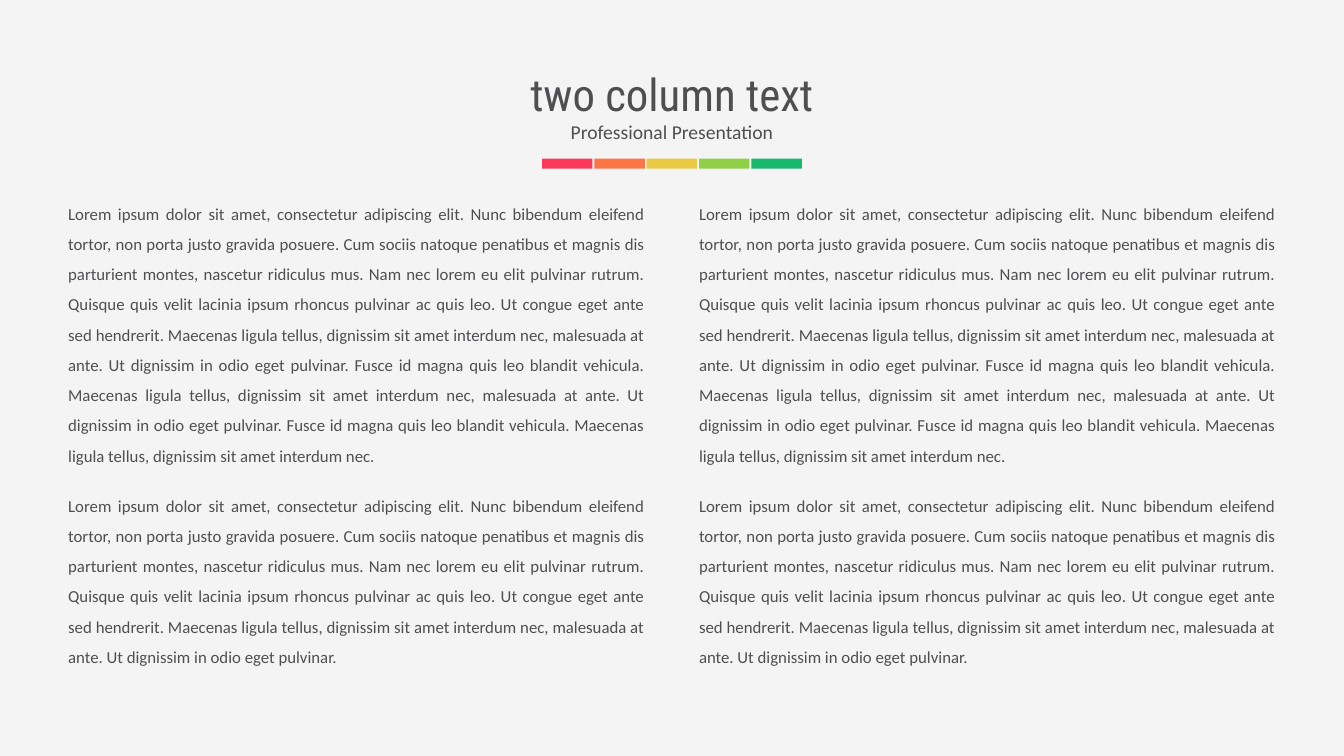
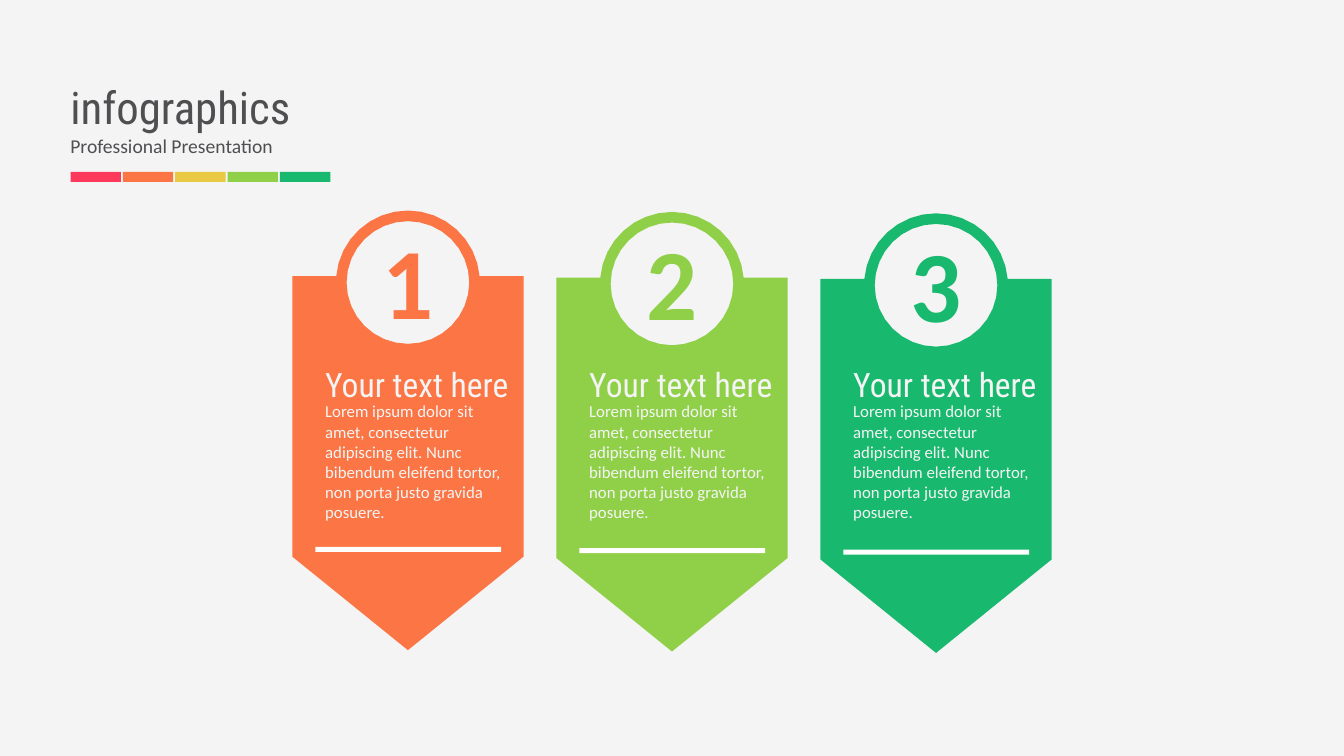
from math import cos, radians, sin

from pptx import Presentation
from pptx.dml.color import RGBColor
from pptx.enum.shapes import MSO_SHAPE
from pptx.enum.text import MSO_AUTO_SIZE, PP_ALIGN
from pptx.util import Pt

# Shared style
BACKGROUND = RGBColor(0xF4, 0xF4, 0xF4)
TEXT_GREY = RGBColor(0x4F, 0x4F, 0x52)
WHITE = RGBColor(0xFF, 0xFF, 0xFF)
RED = RGBColor(0xFC, 0x39, 0x5B)
ORANGE = RGBColor(0xFB, 0x75, 0x45)
YELLOW = RGBColor(0xE9, 0xC9, 0x44)
LIME = RGBColor(0x90, 0xD0, 0x49)
GREEN = RGBColor(0x18, 0xB9, 0x6E)
PALETTE = [RED, ORANGE, YELLOW, LIME, GREEN]
HEADING_FONT = "Roboto Condensed"
BODY_FONT = "Calibri"
SLIDE_WIDTH, SLIDE_HEIGHT = 960, 540

# Colour strip under each title
BAR_WIDTH, BAR_HEIGHT, BAR_PITCH = 36, 7.2, 37.4
STRIP_WIDTH = BAR_PITCH * (len(PALETTE) - 1) + BAR_WIDTH

# Banner geometry, measured from the centre of its ring
BANNER_PITCH = 188.6
BANNER_HALF_WIDTH = 82.6
HOLE_RADIUS, RING_RADIUS = 43.8, 51.4
RING_END_ANGLE = 85
SHOULDER_Y, RULE_Y, SIDE_END_Y, TIP_Y = -4.5, 188.8, 195.8, 262.6
NUMERAL_BOX_WIDTH, NUMERAL_BOX_HEIGHT = 2 * HOLE_RADIUS, 95.1
NUMERAL_LIFT = 1.8

# Wording
INTRO = (
    "Lorem ipsum dolor sit amet, consectetur adipiscing elit. Nunc bibendum "
    "eleifend tortor, non porta justo gravida posuere."
)
MAECENAS = "Maecenas ligula tellus, dignissim sit amet interdum nec"
FUSCE = "Fusce id magna quis leo blandit vehicula."
CLAUSE = f"{MAECENAS}, malesuada at ante. Ut dignissim in odio eget pulvinar."
SHORT_TEXT = (
    f"{INTRO} Cum sociis natoque penatibus et magnis dis parturient montes, "
    "nascetur ridiculus mus. Nam nec lorem eu elit pulvinar rutrum. Quisque quis "
    "velit lacinia ipsum rhoncus pulvinar ac quis leo. Ut congue eget ante sed "
    f"hendrerit. {CLAUSE}"
)
LONG_TEXT = f"{SHORT_TEXT} {FUSCE} {CLAUSE} {FUSCE} {MAECENAS}."


def add_text(slide, text, left, top, width, height, size, color=TEXT_GREY,
             font=BODY_FONT, align=PP_ALIGN.LEFT, line_spacing=None, bold=False):
    box = slide.shapes.add_textbox(Pt(left), Pt(top), Pt(width), Pt(height))
    box.text_frame.word_wrap = True
    box.text_frame.auto_size = MSO_AUTO_SIZE.SHAPE_TO_FIT_TEXT
    box.text_frame.text = text
    paragraph = box.text_frame.paragraphs[0]
    paragraph.alignment = align
    paragraph.line_spacing = line_spacing
    run = paragraph.runs[0]
    run.font.name = font
    run.font.size = Pt(size)
    run.font.bold = bold
    run.font.color.rgb = color


def paint(shape, color):
    shape.shadow.inherit = False
    shape.fill.solid()
    shape.fill.fore_color.rgb = color
    shape.line.fill.background()


presentation = Presentation()
presentation.slide_width = Pt(SLIDE_WIDTH)
presentation.slide_height = Pt(SLIDE_HEIGHT)

# Both slides: background, title, subtitle and colour strip
headers = [
    ("two column text", 0, 43.8, SLIDE_WIDTH, PP_ALIGN.CENTER,
     (SLIDE_WIDTH - STRIP_WIDTH) / 2),
    ("infographics", 43.2, 53.3, 462, PP_ALIGN.LEFT, 50.4),
]
slides = []
for title, left, top, width, align, strip_left in headers:
    slide = presentation.slides.add_slide(presentation.slide_layouts[6])
    slide.background.fill.solid()
    slide.background.fill.fore_color.rgb = BACKGROUND
    add_text(slide, title, left, top, width, 46, 32, font=HEADING_FONT, align=align)
    add_text(slide, "Professional Presentation", left, top + 38.6, width, 24.2, 14,
             align=align)
    for index, color in enumerate(PALETTE):
        bar = slide.shapes.add_shape(
            MSO_SHAPE.RECTANGLE, Pt(strip_left + index * BAR_PITCH), Pt(top + 69.5),
            Pt(BAR_WIDTH), Pt(BAR_HEIGHT))
        paint(bar, color)
    slides.append(slide)
column_slide, banner_slide = slides

# Slide 1: two columns of two paragraphs
for text, top, height in [(LONG_TEXT, 134.6, 204), (SHORT_TEXT, 343.2, 138)]:
    for left in (41.6, 492.2):
        add_text(column_slide, text, left, top, 426.2, height, 12,
                 align=PP_ALIGN.JUSTIFY, line_spacing=1.5)

# Slide 2: banner outline with a round hole; angles run clockwise from the top
hole_angles = [radians(step * 360 / 32) for step in range(32)]
arch_angles = [radians(step * RING_END_ANGLE / 8) for step in range(-8, 9)]
hole = [(HOLE_RADIUS * sin(angle), -HOLE_RADIUS * cos(angle)) for angle in hole_angles]
arch = [(RING_RADIUS * sin(angle), -RING_RADIUS * cos(angle)) for angle in arch_angles]
body = arch + [
    (BANNER_HALF_WIDTH, SHOULDER_Y),
    (BANNER_HALF_WIDTH, SIDE_END_Y),
    (0, TIP_Y),
    (-BANNER_HALF_WIDTH, SIDE_END_Y),
    (-BANNER_HALF_WIDTH, SHOULDER_Y),
]

# Slide 2: three numbered banners, each one point lower than the last
for index, color in enumerate([ORANGE, LIME, GREEN]):
    center_x = SLIDE_WIDTH / 2 + (index - 1) * BANNER_PITCH
    center_y = 201.8 + index
    text_left = center_x - 66.2

    # Banner
    builder = banner_slide.shapes.build_freeform()
    for contour in (hole, body):
        points = [(Pt(center_x + x), Pt(center_y + y)) for x, y in contour]
        builder.move_to(*points[0])
        builder.add_line_segments(points[1:], close=True)
    paint(builder.convert_to_shape(), color)

    # Numeral in the ring
    add_text(banner_slide, str(index + 1), center_x - NUMERAL_BOX_WIDTH / 2,
             center_y - NUMERAL_BOX_HEIGHT / 2 - NUMERAL_LIFT, NUMERAL_BOX_WIDTH,
             NUMERAL_BOX_HEIGHT, 72, color, align=PP_ALIGN.CENTER, bold=True)

    # Heading, text and rule
    add_text(banner_slide, INTRO, text_left, 283, 149, 94.3, 12, BACKGROUND)
    add_text(banner_slide, "Your text here", text_left, 256.3, 149, 36, 24,
             BACKGROUND, HEADING_FONT)
    rule = banner_slide.shapes.add_shape(
        MSO_SHAPE.RECTANGLE, Pt(text_left), Pt(center_y + RULE_Y), Pt(132.8), Pt(3.6))
    paint(rule, WHITE)

presentation.save("out.pptx")
